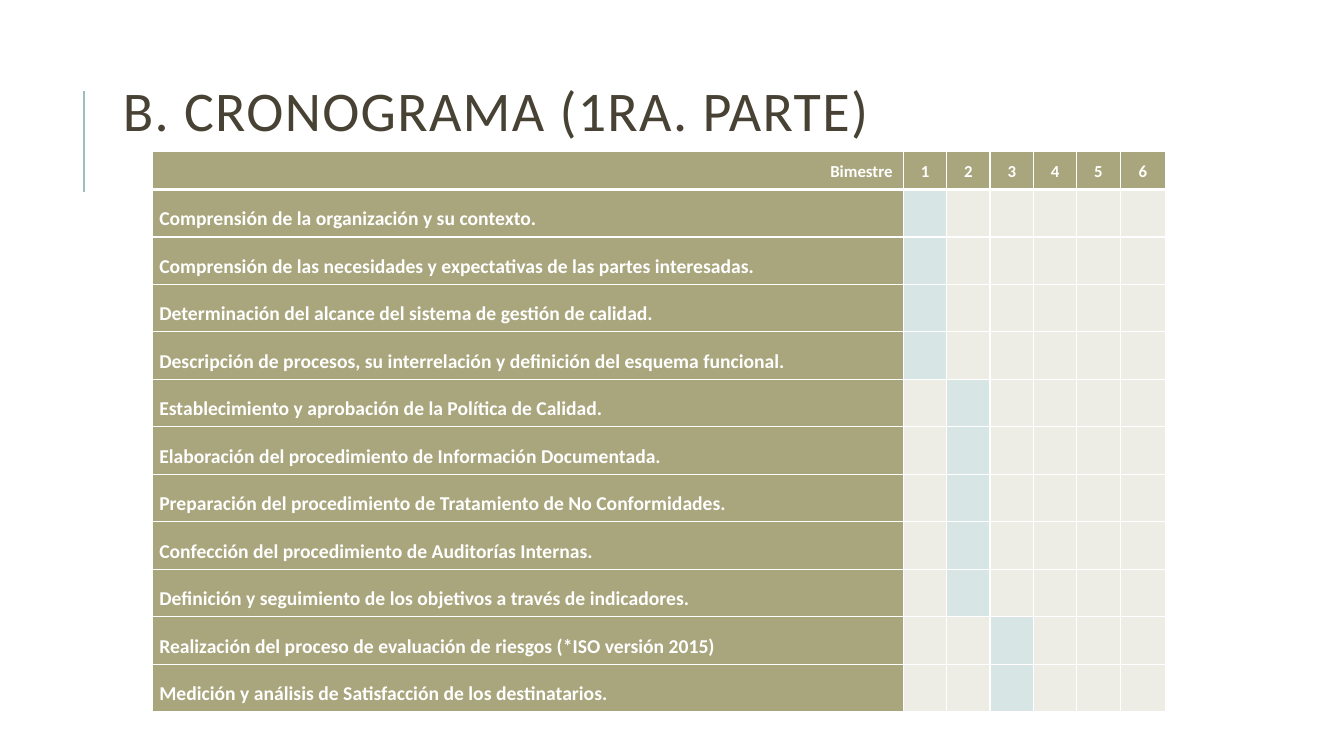
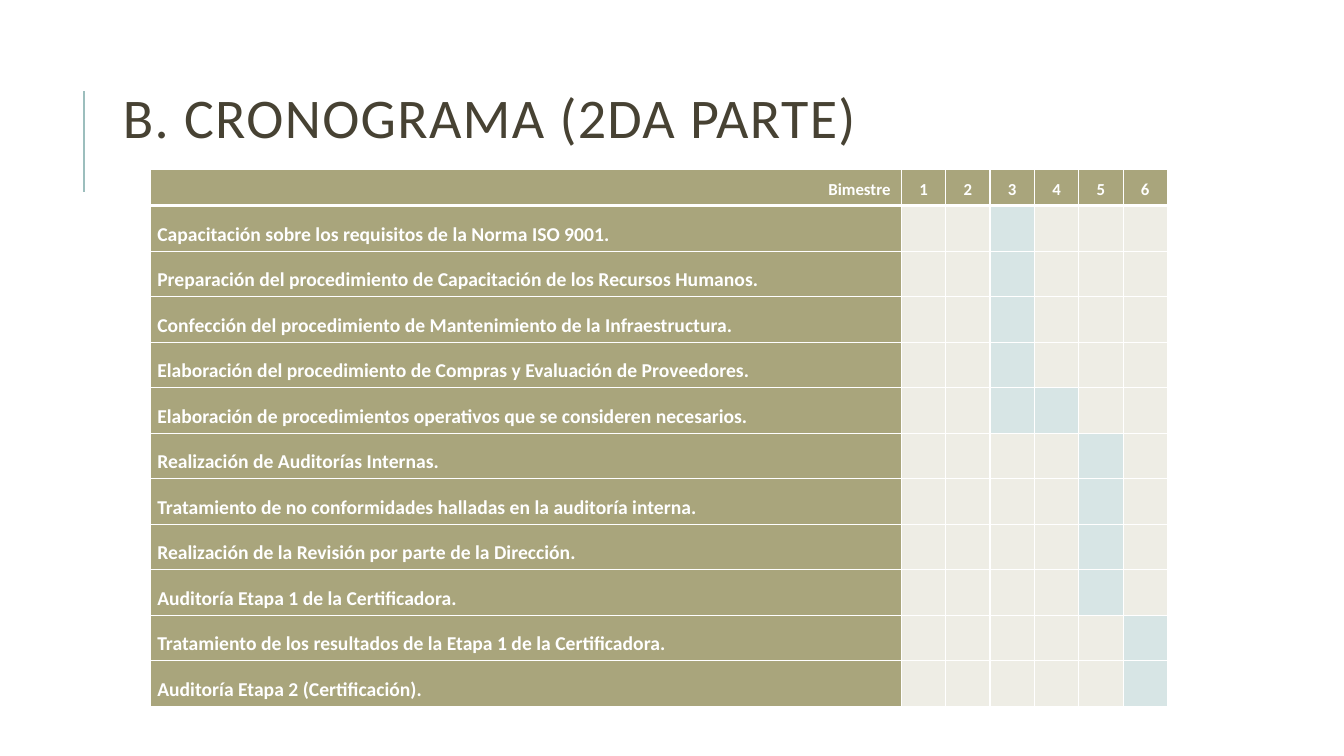
from dataclasses import dataclass

from lxml.etree import SubElement
from pptx import Presentation
from pptx.dml.color import RGBColor
from pptx.enum.shapes import MSO_CONNECTOR as Link
from pptx.enum.text import MSO_ANCHOR as Anchor, PP_ALIGN as Align
from pptx.oxml import parse_xml
from pptx.oxml.ns import nsdecls, qn
from pptx.slide import Slide
from pptx.table import _Cell as Cell
from pptx.text.text import _Paragraph as Para
from pptx.util import Emu, Pt

SCALE = 9144
FONT = "Calibri"
WHITE = RGBColor(0xFF, 0xFF, 0xFF)
DARK = RGBColor(0x47, 0x42, 0x33)
OLIVE = RGBColor(0xA9, 0xA5, 0x7C)
PALE = RGBColor(0xEE, 0xED, 0xE5)
TEAL = RGBColor(0x9C, 0xBE, 0xBD)
MIST = RGBColor(0xD7, 0xE5, 0xE5)
TERMS = 6


@dataclass(frozen=True)
class Task:
    name: str
    first: int
    last: int = 0

    def active(self, term: int) -> bool:
        return self.first <= term <= max(self.first, self.last)


@dataclass(frozen=True)
class Plan:
    title: str
    depth: int
    left: int
    top: int
    height: int
    head: int
    widths: tuple[int, ...]
    tasks: tuple[Task, ...]


PLANS = (
    Plan("B. CRONOGRAMA (1RA. PARTE)", 101, 151, 150, 556, 38,
         (745, 43, 43, 43, 43, 43, 45), (
             Task("Comprensión de la organización y su contexto.", 1),
             Task("Comprensión de las necesidades y expectativas de las partes interesadas.", 1),
             Task("Determinación del alcance del sistema de gestión de calidad.", 1),
             Task("Descripción de procesos, su interrelación y definición del esquema funcional.", 1),
             Task("Establecimiento y aprobación de la Política de Calidad.", 2),
             Task("Elaboración del procedimiento de Información Documentada.", 2),
             Task("Preparación del procedimiento de Tratamiento de No Conformidades.", 2),
             Task("Confección del procedimiento de Auditorías Internas.", 2),
             Task("Definición y seguimiento de los objetivos a través de indicadores.", 2),
             Task("Realización del proceso de evaluación de riesgos (*ISO versión 2015)", 3),
             Task("Medición y análisis de Satisfacción de los destinatarios.", 3),
         )),
    Plan("B. CRONOGRAMA (2DA PARTE)", 114, 149, 168, 533, 36,
         (745, 44, 44, 44, 44, 44, 44), (
             Task("Capacitación sobre los requisitos de la Norma ISO 9001.", 3),
             Task("Preparación del procedimiento de Capacitación de los Recursos Humanos.", 3),
             Task("Confección del procedimiento de Mantenimiento de la Infraestructura.", 3),
             Task("Elaboración del procedimiento de Compras y Evaluación de Proveedores.", 3),
             Task("Elaboración de procedimientos operativos que se consideren necesarios.", 3, 4),
             Task("Realización de Auditorías Internas.", 5),
             Task("Tratamiento de no conformidades halladas en la auditoría interna.", 5),
             Task("Realización de la Revisión por parte de la Dirección.", 5),
             Task("Auditoría Etapa 1 de la Certificadora.", 5),
             Task("Tratamiento de los resultados de la Etapa 1 de la Certificadora.", 6),
             Task("Auditoría Etapa 2 (Certificación).", 6),
         )),
)


def px(count: int) -> Emu:
    return Emu(count * SCALE)


def style(para: Para, size: int, color: RGBColor, bold: bool, space: float) -> None:
    para.line_spacing = space
    for run in para.runs:
        run.font.name = FONT
        run.font.size = Pt(size)
        run.font.bold = bold
        run.font.color.rgb = color


def draw_rule(slide: Slide) -> None:
    rule = slide.shapes.add_connector(Link.STRAIGHT, px(83), px(190), px(83), px(90))
    rule.line.color.rgb = TEAL
    rule.line.width = Pt(1.5)
    SubElement(rule.element.spPr, qn("a:effectLst"))


def draw_title(slide: Slide, plan: Plan) -> None:
    frame = slide.shapes.add_textbox(px(112), px(64), px(1063), px(plan.depth)).text_frame
    frame.word_wrap = True
    frame.vertical_anchor = Anchor.MIDDLE
    frame.text = plan.title
    para = frame.paragraphs[0]
    style(para, 40, DARK, False, 0.8)
    for run in para.runs:
        run.font._element.set("spc", "100")


def paint(cell: Cell, fill: RGBColor, over: int = 1, under: int = 1) -> None:
    cell.fill.solid()
    cell.fill.fore_color.rgb = fill
    props = cell._tc.get_or_add_tcPr()
    edges = (("lnL", 1), ("lnR", 1), ("lnT", over), ("lnB", under))
    for spot, (tag, width) in enumerate(edges):
        props.insert(spot, parse_xml(
            f'<a:{tag} {nsdecls("a")} w="{Pt(width)}"><a:solidFill>'
            f'<a:srgbClr val="{WHITE}"/></a:solidFill></a:{tag}>'))


def write(cell: Cell, text: str, size: int, align: Align, anchor: Anchor) -> None:
    cell.margin_left = cell.margin_right = px(7)
    cell.margin_top = cell.margin_bottom = 0
    cell.vertical_anchor = anchor
    cell.text = text
    para = cell.text_frame.paragraphs[0]
    para.alignment = align
    style(para, size, WHITE, True, 1.5)


def draw_grid(slide: Slide, plan: Plan) -> None:
    grid = slide.shapes.add_table(
        len(plan.tasks) + 1, TERMS + 1, px(plan.left), px(plan.top),
        px(sum(plan.widths)), px(plan.height)).table
    grid.horz_banding = False
    for col, width in zip(grid.columns, plan.widths):
        col.width = px(width)
    step = px(plan.height - plan.head) // len(plan.tasks)
    for index, row in enumerate(grid.rows):
        row.height = Emu(step) if index else px(plan.head)

    for term in range(TERMS + 1):
        cell = grid.cell(0, term)
        paint(cell, OLIVE, under=3)
        text, align = (str(term), Align.CENTER) if term else ("Bimestre ", Align.RIGHT)
        write(cell, text, 12, align, Anchor.TOP)

    for row, task in enumerate(plan.tasks, 1):
        over = 3 if row == 1 else 1
        label = grid.cell(row, 0)
        paint(label, OLIVE, over)
        write(label, task.name, 14, Align.JUSTIFY, Anchor.MIDDLE)
        for term in range(1, TERMS + 1):
            paint(grid.cell(row, term), MIST if task.active(term) else PALE, over)


def main() -> None:
    deck = Presentation()
    deck.slide_width, deck.slide_height = px(1333), px(750)
    for plan in PLANS:
        slide = deck.slides.add_slide(deck.slide_layouts[6])
        draw_rule(slide)
        draw_title(slide, plan)
        draw_grid(slide, plan)
    deck.save("out.pptx")


if __name__ == "__main__":
    main()
